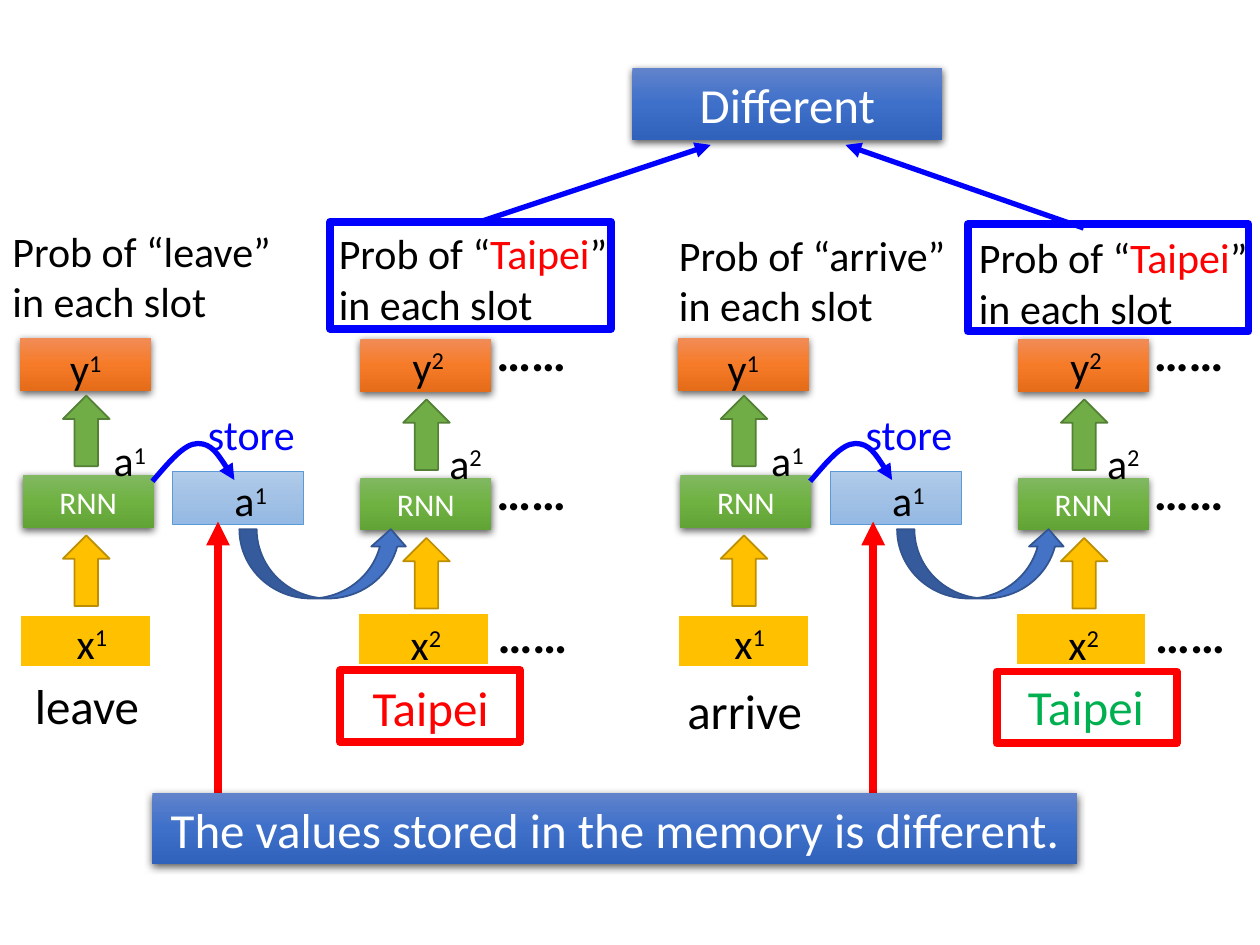
from copy import deepcopy

from lxml import etree
from pptx import Presentation
from pptx import util as u
from pptx.dml.color import RGBColor
from pptx.enum import shapes, text
from pptx.oxml.ns import qn

CELL = u.Inches(0.1)  # the slide is a grid of 100 columns by 75 rows
COLORS = {
    "black": "000000", "white": "FFFFFF", "red": "FF0000", "blue": "0000FF",
    "leaf": "00B050", "amber": "FFC000", "amber edge": "BD8E00",
    "green": "70AD47", "green edge": "538035",
    "navy": "4472C4", "navy edge": "325491", "memory edge": "5B9BD5",
}
GRADIENTS = {
    "network": ("81B861", "6FB242", "62A336"),
    "output": ("F18C57", "F67B28", "E56C19"),
    "memory": ("B1CBE9", "A3C1E5", "93B9E4"),
    "banner": ("6183CB", "3E70CA", "3062BB"),
}
BLOCK = (10.4, 4.2)
LABEL = (8.8, 4.5)
ARROW = (3.7, 5.6)
SHAPE = shapes.MSO_SHAPE
CENTER = text.PP_ALIGN.CENTER


def grid(*values):
    return [round(value * CELL) for value in values]


def rgb(name):
    return RGBColor.from_string(COLORS[name])


def set_line(line, color, width, arrow=False):
    line.color.rgb = rgb(color)
    line.width = u.Pt(width)
    if arrow:
        etree.SubElement(line._get_or_add_ln(), qn("a:tailEnd"), type="triangle")


def set_gradient(shape, name):
    shape.fill.gradient()
    stops = shape._element.spPr.find(qn("a:gradFill")).find(qn("a:gsLst"))
    stops.append(deepcopy(stops[-1]))
    for index, (stop, color) in enumerate(zip(shape.fill.gradient_stops, GRADIENTS[name])):
        stop.position = index / 2
        stop.color.rgb = RGBColor.from_string(color)
    shape.fill.gradient_angle = 270


def add_shadow(shape):
    effects = shape._element.spPr.find(qn("a:effectLst"))
    shadow = etree.SubElement(effects, qn("a:outerShdw"), blurRad="57150",
                              dist="19050", dir="5400000", algn="ctr", rotWithShape="0")
    color = etree.SubElement(shadow, qn("a:srgbClr"), val=COLORS["black"])
    etree.SubElement(color, qn("a:alpha"), val="63000")


def write(shape, parts, size, align=None, bold=None):
    """Each part is (words, color) or (words, color, superscript)."""
    shape.text_frame.word_wrap = True
    paragraph = shape.text_frame.paragraphs[0]
    paragraph.alignment = align
    for words, color, *superscript in parts:
        run = paragraph.add_run()
        run.text = words
        run.font.name = "Calibri"
        run.font.size = u.Pt(size)
        run.font.bold = bold
        run.font.color.rgb = rgb(color)
        if superscript:
            run._r.get_or_add_rPr().set("baseline", "30000")


def add_block(parent, kind, box, fill=None, line=None, width=1):
    shape = parent.add_shape(kind, *grid(*box))
    shape.shadow.inherit = False
    if fill in GRADIENTS:
        set_gradient(shape, fill)
    elif fill:
        shape.fill.solid()
        shape.fill.fore_color.rgb = rgb(fill)
    else:
        shape.fill.background()
    if line:
        set_line(shape.line, line, width)
    else:
        shape.line.fill.background()
        add_shadow(shape)
    return shape


def add_text(parent, box, parts, size=24, align=None, bold=None):
    write(parent.add_textbox(*grid(*box)), parts, size, align, bold)


def add_arrow(parent, ends, color, width):
    arrow = parent.add_connector(shapes.MSO_CONNECTOR.STRAIGHT, *grid(*ends))
    set_line(arrow.line, color, width, arrow=True)
    etree.SubElement(arrow._element.spPr, qn("a:effectLst"))


def add_curve(parent, points):
    """Draw one start point followed by cubic curves of three points each."""
    start, *rest = [grid(*point) for point in points]
    builder = parent.build_freeform(*start)
    builder.add_line_segments(rest, close=False)
    curve = builder.convert_to_shape()
    curve.shadow.inherit = False
    curve.fill.background()
    set_line(curve.line, "blue", 3, arrow=True)
    segments = list(curve._element.iter(qn("a:lnTo")))
    for index in range(0, len(segments), 3):
        cubic = etree.SubElement(segments[0].getparent(), qn("a:cubicBezTo"))
        for segment in segments[index:index + 3]:
            cubic.append(segment[0])
    for segment in segments:
        segment.getparent().remove(segment)


def draw_network(slide, left, top):
    """Two time steps of a recurrent network, placed from its top left corner."""
    group = slide.shapes.add_group_shape().shapes

    def at(column, row, size):
        return (left + column, top + row, *size)

    # Input, network and output of each step
    for input_at, network_at, output_at in (
            ((0, 23.8), (0.2, 12.7), (0, 1.8)),
            ((26.8, 23.6), (27, 12.9), (27, 1.9))):
        add_block(group, SHAPE.RECTANGLE, at(*input_at, BLOCK), "amber", "white", 1.5)
        network = add_block(group, SHAPE.RECTANGLE, at(*network_at, BLOCK), "network")
        write(network, [("RNN", "white")], 18, CENTER)
        add_block(group, SHAPE.RECTANGLE, at(*output_at, BLOCK), "output")

    # Memory cell and the arrows between the parts
    add_block(group, SHAPE.RECTANGLE, at(12.1, 12.4, BLOCK), "memory", "memory edge", 0.5)
    for column, row, color in ((3.4, 17.5, "amber"), (3.4, 6.4, "green"),
                               (30.4, 17.7, "amber"), (30.4, 6.7, "green")):
        add_block(group, SHAPE.UP_ARROW, at(column, row, ARROW), color, color + " edge")
    add_text(group, at(13.3, 6.9, (10.1, 5)), [("store", "blue")], align=CENTER)
    add_curve(group, [at(column, row, ()) for column, row in (
        (10.5, 13.2), (11.8, 11.7), (13, 10.2), (14.1, 10.2),
        (15.2, 10.2), (16.1, 11.6), (17, 13.1))])
    add_block(group, SHAPE.CURVED_UP_ARROW, at(17.4, 17, (13.4, 5.5)), "navy", "navy edge")

    # Variable names
    for letter, index, column, row in (
            ("x", "1", 1.3, 23.5), ("x", "2", 27.8, 23.6),
            ("y", "1", 0.8, 1.7), ("y", "2", 28, 1.5),
            ("a", "1", 4.3, 9), ("a", "1", 13.9, 12.2), ("a", "2", 30.95, 9.2)):
        add_text(group, at(column, row, LABEL),
                 [(letter, "black"), (index, "black", True)], align=CENTER)

    # Continuation dots
    for column, row in ((36.8, 0.1), (36.8, 11.1), (36.9, 22.5)):
        add_text(group, at(column, row, (7.8, 5.7)), [("……", "black")], 28, bold=True)


def draw_words(slide):
    """Input words below the networks and slot probabilities above them."""
    for box, word, color, align in (
            ((1.5, 53.1, 10.8, 5.7), "leave", "black", CENTER),
            ((28.6, 53.3, 12.8, 5.7), "Taipei", "red", None),
            ((52.4, 53.5, 13.4, 5.7), "arrive", "black", CENTER),
            ((80.6, 53.2, 12.8, 5.7), "Taipei", "leaf", None)):
        add_text(slide.shapes, box, [(word, color)], 28, align)
    for left, top, word, color in ((0, 17.4, "leave", "black"), (25.9, 17.6, "Taipei", "red"),
                                   (52.9, 17.7, "arrive", "black"), (76.7, 17.9, "Taipei", "red")):
        add_text(slide.shapes, (left, top, 24.5, 9.1),
                 [("Prob of “", "black"), (word, color), ("” in each slot", "black")])


def draw_banner(slide, box, words):
    banner = add_block(slide.shapes, SHAPE.RECTANGLE, box, "banner")
    write(banner, [(words, "white")], 28, CENTER)


def draw_comparison(slide):
    """Frames, arrows and banners that point out the differences."""
    draw_banner(slide, (50.2, 5.4, 24.6, 5.7), "Different")
    for ends in ((38.1, 17.6, 56.4, 11.5), (86, 18.1, 67.1, 11.5)):
        add_arrow(slide.shapes, ends, "blue", 3)
    for left, top in ((27, 53.2), (79.1, 53.3)):
        add_block(slide.shapes, SHAPE.RECTANGLE, (left, top, 14.3, 5.7), None, "red", 4.5)
    for column, bottom in ((17.3, 62.9), (69.3, 65.2)):
        add_arrow(slide.shapes, (column, bottom, column, 41.4), "red", 4.5)
    draw_banner(slide, (12.1, 62.9, 73.4, 5.7), "The values stored in the memory is different.")
    for left, top in ((26.2, 17.6), (76.8, 17.8)):
        add_block(slide.shapes, SHAPE.RECTANGLE, (left, top, 22.3, 8.5), None, "blue", 4.5)


def main():
    presentation = Presentation()
    presentation.slide_width, presentation.slide_height = grid(100, 75)
    slide = presentation.slides.add_slide(presentation.slide_layouts[6])
    for left in (1.6, 53.8):
        draw_network(slide, left, 25)
    draw_words(slide)
    draw_comparison(slide)
    presentation.save("out.pptx")


if __name__ == "__main__":
    main()
